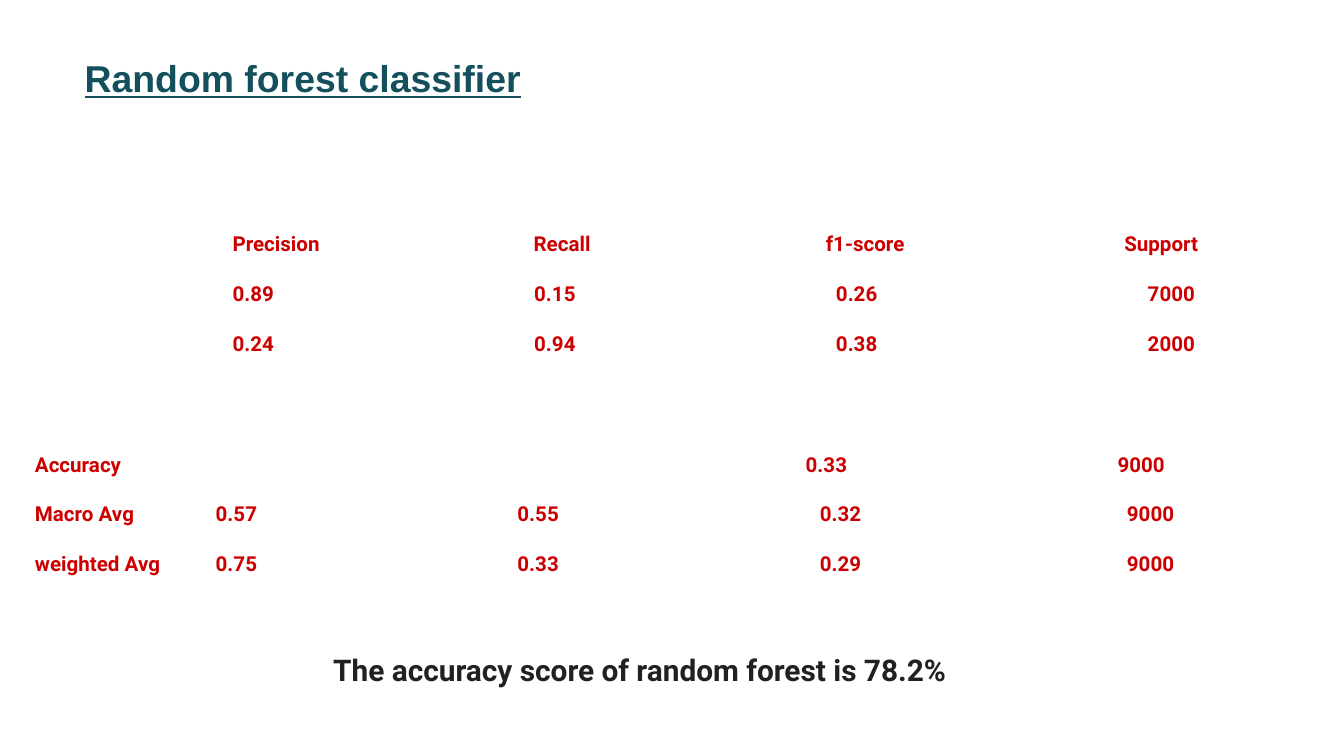
from dataclasses import dataclass

from lxml.etree import SubElement
from pptx import Presentation
from pptx.dml.color import RGBColor
from pptx.enum.shapes import MSO_SHAPE
from pptx.enum.text import MSO_ANCHOR, MSO_AUTO_SIZE, PP_ALIGN
from pptx.oxml.ns import qn
from pptx.util import Inches, Pt

WIDTH, HEIGHT = Inches(10), Inches(5.625)
WHITE = RGBColor(0xFF, 0xFF, 0xFF)
TEAL = RGBColor(0x13, 0x4F, 0x5C)
RED = RGBColor(0xCC, 0x00, 0x00)
CHARCOAL = RGBColor(0x21, 0x21, 0x21)

TITLE_FONT = {"name": "Arial", "size": Pt(20), "bold": True, "underline": True}
METRIC_FONT = {"name": "Roboto", "size": Pt(11), "bold": True}
SUMMARY_FONT = {"name": "Roboto", "size": Pt(16), "bold": True}
ROW_GAP = Pt(13.5)


@dataclass(frozen=True)
class Box:
    """Place and size in percent of the slide."""

    left: float
    top: float
    width: float
    height: float


@dataclass(frozen=True)
class Row:
    """One line of cells; stops are percent of the slide width."""

    cells: tuple[str, ...]
    stops: tuple[float, ...] = ()


@dataclass(frozen=True)
class Panel:
    """A white panel holding aligned rows of text."""

    box: Box
    indent: float
    rows: tuple[Row, ...]
    font: dict
    color: RGBColor
    anchor: MSO_ANCHOR = MSO_ANCHOR.MIDDLE


CLASS_STOPS = (39.75, 62.2, 85.4)
AVERAGE_STOPS = (16.05, 38.5, 61, 83.85)

PANELS = (
    Panel(
        Box(17.3, 30.6, 81.5, 23.1), 0,
        (
            Row(("Precision", "Recall", "f1-score", "Support"), (39.7, 61.45, 83.65)),
            Row(("0.89", "0.15", "0.26", "7000"), CLASS_STOPS),
            Row(("0.24", "0.94", "0.38", "2000"), CLASS_STOPS),
        ),
        METRIC_FONT, RED, MSO_ANCHOR.TOP,
    ),
    Panel(
        Box(0.7, 59.7, 99.3, 16.5), 1.9,
        (
            Row(("Accuracy", "0.33", "9000"), (59.95, 83.15)),
            Row(("Macro Avg", "0.57", "0.55", "0.32", "9000"), AVERAGE_STOPS),
            Row(("weighted Avg", "0.75", "0.33", "0.29", "9000"), AVERAGE_STOPS),
        ),
        METRIC_FONT, RED,
    ),
    Panel(
        Box(21.5, 86.2, 62.3, 4.8), 3.3,
        (Row(("The accuracy score of random forest is 78.2%",)),),
        SUMMARY_FONT, CHARCOAL,
    ),
)


def across(percent: float) -> int:
    """Turn a share of the slide width into a length."""
    return int(WIDTH * percent / 100)


def down(percent: float) -> int:
    """Turn a share of the slide height into a length."""
    return int(HEIGHT * percent / 100)


def apply(target, values: dict) -> None:
    """Set every attribute named in the dict."""
    for name, value in values.items():
        setattr(target, name, value)


def frame(box: Box) -> dict:
    """Give the position attributes of a box."""
    return {"left": across(box.left), "top": down(box.top),
            "width": across(box.width), "height": down(box.height)}


def write(paragraph, text: str, font: dict, color: RGBColor) -> None:
    """Write one left-aligned run in the given format."""
    paragraph.alignment = PP_ALIGN.LEFT
    run = paragraph.add_run()
    run.text = text
    apply(run.font, font)
    run.font.color.rgb = color


def add_stops(paragraph, stops: tuple[float, ...], origin: float) -> None:
    """Add left tab stops measured from the text origin."""
    tab_list = SubElement(paragraph._p.get_or_add_pPr(), qn("a:tabLst"))
    for stop in stops:
        SubElement(tab_list, qn("a:tab"), pos=str(across(stop - origin)), algn="l")


def draw_panel(slide, panel: Panel) -> None:
    """Draw a panel and its rows."""
    shape = slide.shapes.add_shape(MSO_SHAPE.RECTANGLE, **frame(panel.box))
    shape.shadow.inherit = False
    shape.fill.solid()
    shape.fill.fore_color.rgb = WHITE
    shape.line.fill.background()
    text_frame = shape.text_frame
    apply(text_frame, {"margin_left": across(panel.indent), "margin_right": 0,
                       "margin_top": 0, "margin_bottom": 0, "word_wrap": True,
                       "vertical_anchor": panel.anchor})
    for index, row in enumerate(panel.rows):
        paragraph = text_frame.add_paragraph() if index else text_frame.paragraphs[0]
        if index:
            paragraph.space_before = ROW_GAP
        write(paragraph, "\t".join(row.cells), panel.font, panel.color)
        if row.stops:
            add_stops(paragraph, row.stops, panel.box.left + panel.indent)


def draw_title(slide, text: str, box: Box) -> None:
    """Place and format the title placeholder."""
    title = slide.shapes.title
    apply(title, frame(box))
    apply(title.text_frame, {"word_wrap": True, "auto_size": MSO_AUTO_SIZE.NONE,
                             "vertical_anchor": MSO_ANCHOR.TOP})
    write(title.text_frame.paragraphs[0], text, TITLE_FONT, TEAL)


def main() -> None:
    """Build and save the slide."""
    presentation = Presentation()
    apply(presentation, {"slide_width": WIDTH, "slide_height": HEIGHT})
    slide = presentation.slides.add_slide(presentation.slide_layouts[5])
    draw_title(slide, "Random forest classifier", Box(5.3, 6.4, 34.7, 7.8))
    for panel in PANELS:
        draw_panel(slide, panel)
    presentation.save("out.pptx")


if __name__ == "__main__":
    main()
